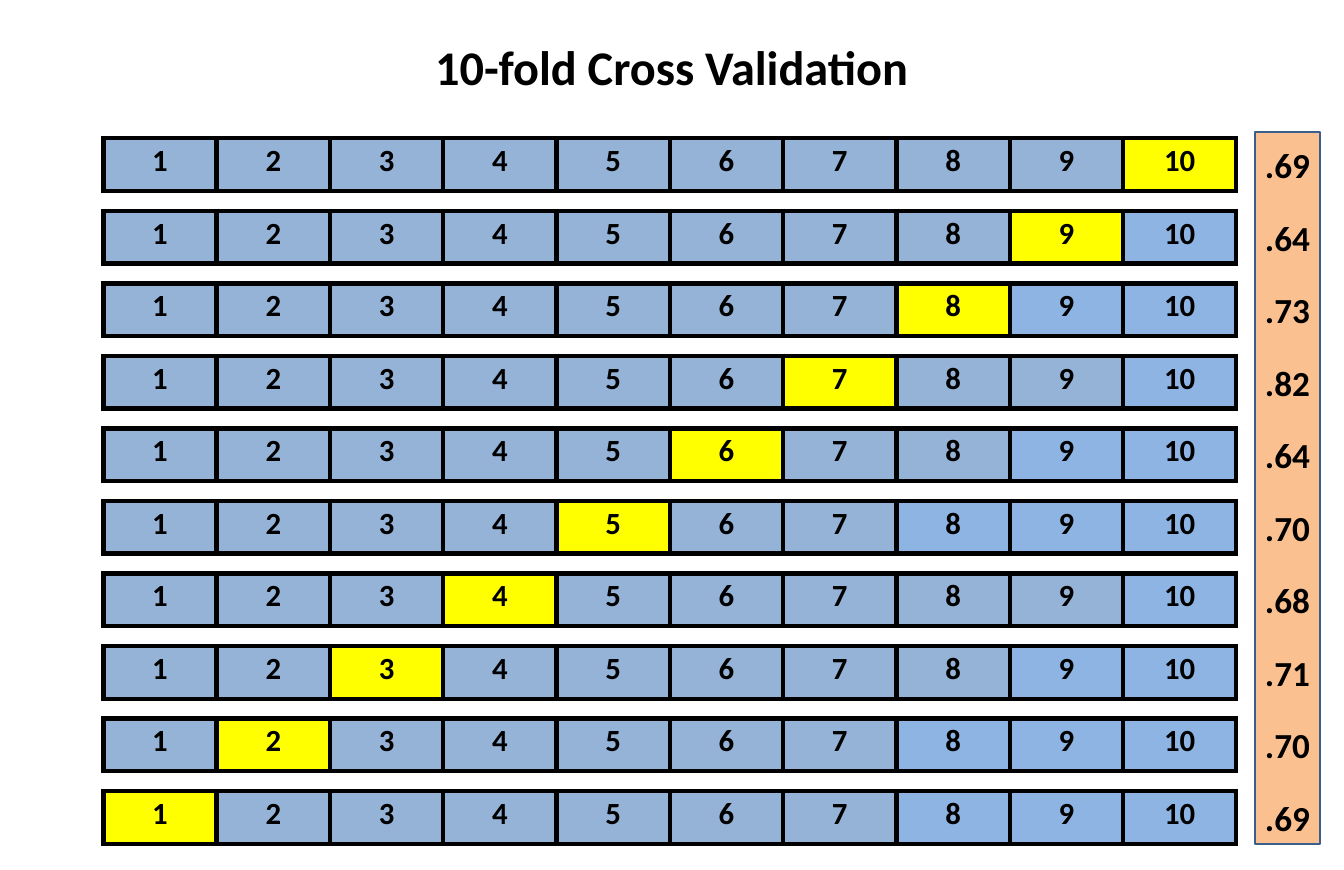
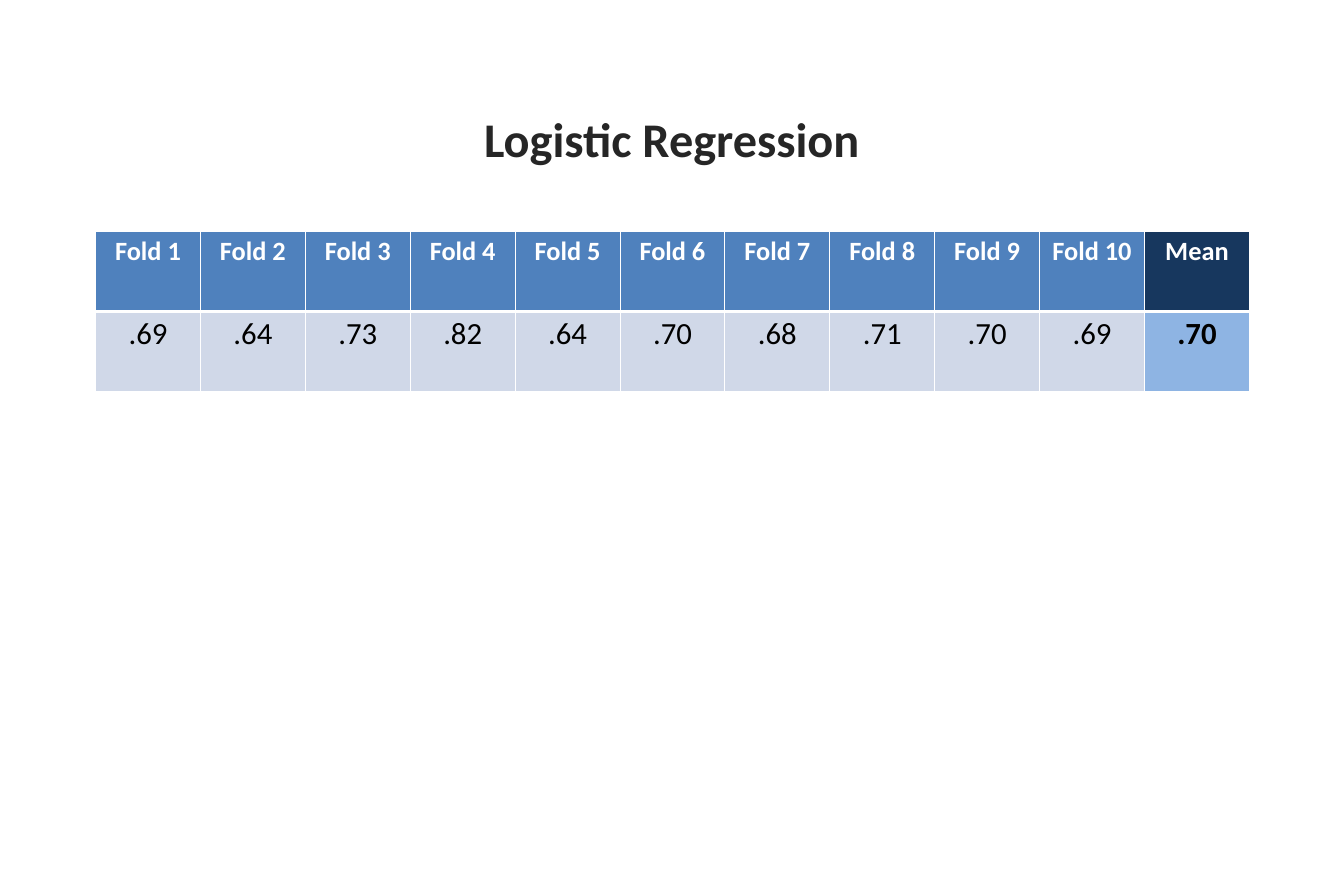
from lxml.etree import SubElement
from pptx import Presentation
from pptx.dml.color import RGBColor
from pptx.enum.shapes import MSO_SHAPE
from pptx.enum.text import MSO_ANCHOR, PP_ALIGN
from pptx.oxml.ns import qn
from pptx.util import Cm, Pt

FONT = "Calibri"
BLACK = RGBColor(0x00, 0x00, 0x00)
INK = RGBColor(0x26, 0x26, 0x26)
WHITE = RGBColor(0xFF, 0xFF, 0xFF)
STEEL = RGBColor(0x95, 0xB3, 0xD7)
SKY = RGBColor(0x8E, 0xB4, 0xE3)
YELLOW = RGBColor(0xFF, 0xFF, 0x00)
PEACH = RGBColor(0xFA, 0xC0, 0x90)
EDGE = RGBColor(0x3A, 0x5F, 0x8C)
BLUE = RGBColor(0x4F, 0x81, 0xBD)
NAVY = RGBColor(0x17, 0x37, 0x5E)
PALE = RGBColor(0xD0, 0xD8, 0xE8)

FOLDS = 10
SCORES = [".69", ".64", ".73", ".82", ".64", ".70", ".68", ".71", ".70", ".69"]
MEAN = ".70"
SKY_FROM = [11, 10, 9, 10, 9, 8, 10, 9, 8, 8]

ROW_LEFT, ROW_TOP, ROW_STEP = 3.32, 4.44, 2.33
FOLD_WIDTH, FOLD_HEIGHT = 3.64, 1.69
BAND_LEFT, BAND_WIDTH = 40.31, 2.11


def write(frame, text, size, color, bold=True):
    frame.text = text
    for para in frame.paragraphs:
        para.alignment = PP_ALIGN.CENTER
        for run in para.runs:
            font = run.font
            font.name = FONT
            font.size = Pt(size)
            font.bold = bold
            font.color.rgb = color


def add_title(slide, text, top, color):
    title = slide.shapes.title
    title.left, title.top = Cm(5), Cm(top)
    title.width, title.height = Cm(33.18), Cm(2.13)
    title.text_frame.vertical_anchor = MSO_ANCHOR.TOP
    write(title.text_frame, text, 44, color)


def add_grid(slide, left, top, width, height, rows, cols):
    frame = slide.shapes.add_table(
        rows, cols, Cm(left), Cm(top), Cm(width) * cols, Cm(height) * rows
    )
    grid = frame.table
    grid.first_row = False
    grid.horz_banding = False
    return grid


def set_edges(cell, color, widths):
    props = cell._tc.get_or_add_tcPr()
    for place, (side, width) in enumerate(zip("LRTB", widths)):
        line = SubElement(props, qn(f"a:ln{side}"), w=str(Pt(width)))
        fill = SubElement(line, qn("a:solidFill"))
        SubElement(fill, qn("a:srgbClr"), val=str(color))
        props.insert(place, line)


def fill_cell(cell, text, size, ink, fill, edge, widths, bold=True):
    cell.fill.solid()
    cell.fill.fore_color.rgb = fill
    write(cell.text_frame, text, size, ink, bold)
    set_edges(cell, edge, widths)


def add_band(slide):
    band = slide.shapes.add_shape(
        MSO_SHAPE.RECTANGLE, Cm(BAND_LEFT), Cm(4.24), Cm(BAND_WIDTH), Cm(22.86)
    )
    band.shadow.inherit = False
    band.fill.solid()
    band.fill.fore_color.rgb = PEACH
    band.line.color.rgb = EDGE
    band.line.width = Pt(2)


def add_score(slide, text, top):
    box = slide.shapes.add_textbox(
        Cm(BAND_LEFT), Cm(top), Cm(BAND_WIDTH), Cm(1.63)
    )
    box.text_frame.word_wrap = True
    write(box.text_frame, text, 32, BLACK)


def add_split(slide, top, test, first):
    grid = add_grid(slide, ROW_LEFT, top, FOLD_WIDTH, FOLD_HEIGHT, 1, FOLDS)
    for fold in range(1, FOLDS + 1):
        fill = YELLOW if fold == test else SKY if fold >= first else STEEL
        cell = grid.cell(0, fold - 1)
        fill_cell(cell, str(fold), 28, BLACK, fill, BLACK, [4.5] * 4)


def build_folds(slide):
    add_title(slide, "10-fold Cross Validation", 1.07, BLACK)
    add_band(slide)
    for row, (score, first) in enumerate(zip(SCORES, SKY_FROM)):
        top = ROW_TOP + row * ROW_STEP
        add_split(slide, top, FOLDS - row, first)
        add_score(slide, score, top + 0.04)


def build_means(slide):
    add_title(slide, "Logistic Regression", 3.38, INK)
    heads = [f"Fold {fold}" for fold in range(1, FOLDS + 1)] + ["Mean"]
    grid = add_grid(slide, 3.07, 7.42, 3.37, 2.57, 2, len(heads))
    for col, (head, score) in enumerate(zip(heads, SCORES + [MEAN])):
        last = col == FOLDS
        fill_cell(grid.cell(0, col), head, 24, WHITE,
                  NAVY if last else BLUE, WHITE, [1, 1, 1, 3])
        fill_cell(grid.cell(1, col), score, 28, BLACK,
                  SKY if last else PALE, WHITE, [1, 1, 3, 1], last)


def main():
    deck = Presentation()
    deck.slide_width, deck.slide_height = Cm(43.18), Cm(27.94)
    for build in (build_folds, build_means):
        build(deck.slides.add_slide(deck.slide_layouts[5]))
    deck.save("out.pptx")


main()
